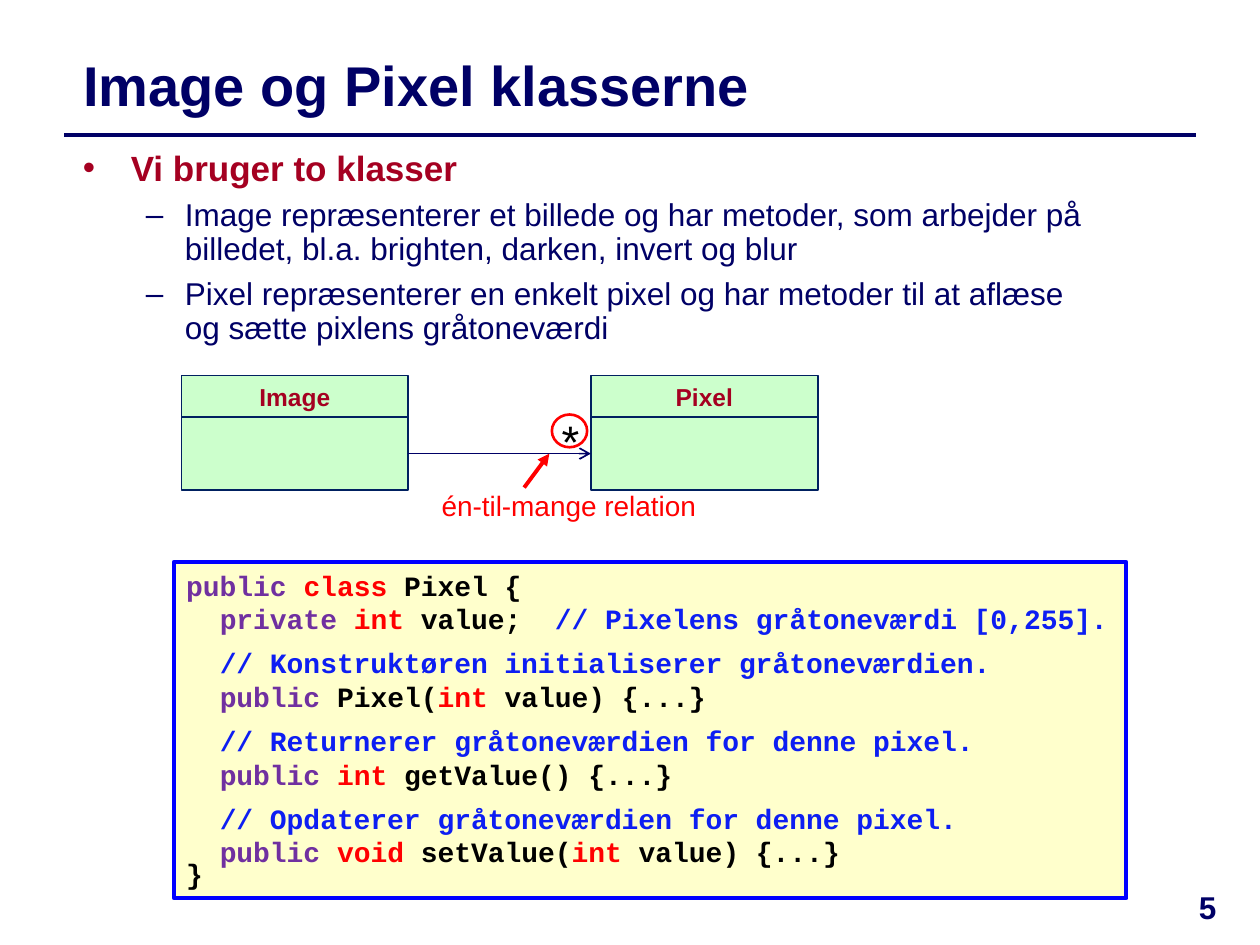
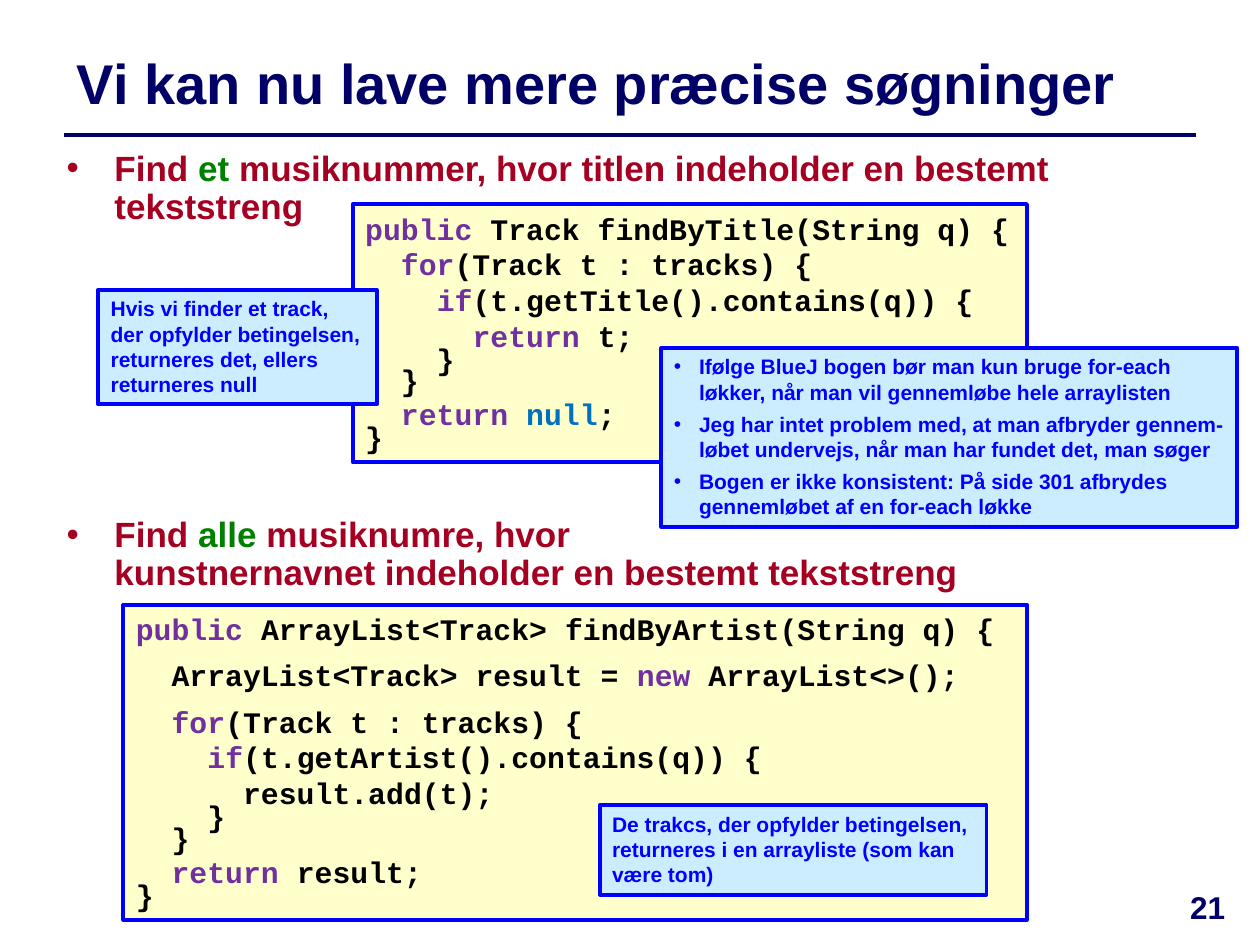
"""Build two lecture slides on Java classes and searching."""
from itertools import groupby

from lxml.etree import SubElement
from pptx import Presentation
from pptx.dml.color import RGBColor
from pptx.enum.shapes import MSO_CONNECTOR, MSO_SHAPE
from pptx.enum.text import MSO_ANCHOR, MSO_AUTO_SIZE, PP_ALIGN
from pptx.oxml.ns import qn
from pptx.util import Inches, Pt

WIDTH, HEIGHT = Inches(10), Inches(7.5)
COL, ROW = WIDTH / 100, HEIGHT / 75

NAVY = RGBColor(0x00, 0x00, 0x66)
WINE = RGBColor(0xA5, 0x00, 0x21)
GREEN = RGBColor(0x00, 0x80, 0x00)
RED = RGBColor(0xFF, 0x00, 0x00)
BLUE = RGBColor(0x00, 0x00, 0xFF)
BLACK = RGBColor(0x00, 0x00, 0x00)
PURPLE = RGBColor(0x70, 0x30, 0xA0)
AZURE = RGBColor(0x00, 0x70, 0xC0)
REMARK = RGBColor(0x0D, 0x1E, 0xF2)
BORDER = RGBColor(0x00, 0x20, 0x60)
MINT = RGBColor(0xCC, 0xFF, 0xCC)
CREAM = RGBColor(0xFF, 0xFF, 0xCC)
SKY = RGBColor(0xCC, 0xEC, 0xFF)

WORDS = {
    **dict.fromkeys(["public", "private", "for", "if", "return", "new"], PURPLE),
    **dict.fromkeys(["class", "int", "void"], RED),
    "null": AZURE,
}

PIXEL = """public class Pixel {
  private int value;  // Pixelens gråtoneværdi [0,255].

  // Konstruktøren initialiserer gråtoneværdien.
  public Pixel(int value) {...}

  // Returnerer gråtoneværdien for denne pixel.
  public int getValue() {...}

  // Opdaterer gråtoneværdien for denne pixel.
  public void setValue(int value) {...}
}"""

TITLE = """public Track findByTitle(String q) {
  for(Track t : tracks) {
    if(t.getTitle().contains(q)) {
      return t;
    }
  }
  return null;
}"""

ARTIST = """public ArrayList<Track> findByArtist(String q) {

  ArrayList<Track> result = new ArrayList<>();

  for(Track t : tracks) {
    if(t.getArtist().contains(q)) {
      result.add(t);
    }
  }
  return result;
}"""


def place(x, y, w, h):
    """Turn columns and rows into slide lengths."""
    return round(x * COL), round(y * ROW), round(w * COL), round(h * ROW)


def style(par, size, hue, bold=False, face="Arial"):
    """Set the font of a whole paragraph."""
    par.font.name = face
    par.font.size = Pt(size)
    par.font.bold = bold
    par.font.color.rgb = hue


def bullet(par, mark, left, hang):
    """Give a paragraph a bullet and a hanging indent."""
    props = par._p.get_or_add_pPr()
    props.set("marL", str(Inches(left)))
    props.set("indent", str(-Inches(hang)))
    SubElement(props, qn("a:buFont"), typeface="Arial")
    SubElement(props, qn("a:buChar"), char=mark)


def paint(par, parts):
    """Add runs given as pairs of text and colour."""
    for text, hue in parts:
        run = par.add_run()
        run.text = text
        run.font.color.rgb = hue


def pars(frame, count):
    """Return the wanted number of paragraphs of a frame."""
    return [frame.paragraphs[0]] + [frame.add_paragraph() for _ in range(count - 1)]


def text(slide, area):
    """Add a wrapping text box and return its frame."""
    frame = slide.shapes.add_textbox(*place(*area)).text_frame
    frame.word_wrap = True
    return frame


def label(slide, area, words, size, hue, bold=False):
    """Add one centred line of text."""
    par = text(slide, area).paragraphs[0]
    par.text = words
    par.alignment = PP_ALIGN.CENTER
    style(par, size, hue, bold)


def shape(slide, area, fill, edge, width, kind=MSO_SHAPE.RECTANGLE):
    """Add a flat shape and return its text frame."""
    item = slide.shapes.add_shape(kind, *place(*area))
    item.shadow.inherit = False
    if fill is None:
        item.fill.background()
    else:
        item.fill.solid()
        item.fill.fore_color.rgb = fill
    item.line.color.rgb = edge
    item.line.width = Pt(width)
    frame = item.text_frame
    frame.word_wrap = True
    frame.vertical_anchor = MSO_ANCHOR.TOP
    return frame


def line(slide, start, end, hue, width, head=None):
    """Add a straight line, with an arrowhead if one is named."""
    ends = place(*start, *end)
    item = slide.shapes.add_connector(MSO_CONNECTOR.STRAIGHT, *ends)
    item.line.color.rgb = hue
    item.line.width = Pt(width)
    props = item._element.spPr
    if head:
        SubElement(props.find(qn("a:ln")), qn("a:tailEnd"), type=head)
    SubElement(props, qn("a:effectLst"))


def start(deck, title, area, number):
    """Add a slide with its title, rule and number."""
    slide = deck.slides.add_slide(deck.slide_layouts[5])
    head = slide.shapes.title
    head.left, head.top, head.width, head.height = place(*area)
    frame = head.text_frame
    frame.text = title
    frame.auto_size = MSO_AUTO_SIZE.NONE
    frame.vertical_anchor = MSO_ANCHOR.MIDDLE
    par = frame.paragraphs[0]
    par.alignment = PP_ALIGN.LEFT
    style(par, 32, NAVY, True)
    line(slide, (5.1, 10.7), (94.9, 10.7), NAVY, 2)
    label(slide, (91.7, 70, 8.3, 5), str(number), 18, NAVY, True)
    return slide


def point(slide, area, parts):
    """Add a main bullet and return its frame."""
    frame = text(slide, area)
    par = frame.paragraphs[0]
    bullet(par, "•", 0.38, 0.38)
    par.line_spacing = 0.9
    style(par, 20, WINE, True)
    paint(par, parts)
    return frame


def detail(frame, words):
    """Add a second-level bullet."""
    par = frame.add_paragraph()
    par.text = words
    par.level = 1
    bullet(par, "–", 0.81, 0.31)
    par.line_spacing = 0.9
    par.space_before = Pt(6)
    style(par, 18, NAVY)


def tint(row):
    """Split a line of code into coloured parts."""
    code, mark, rest = row.partition("//")
    tokens = ("".join(group) for _, group in groupby(code, str.isalnum))
    pairs = [(token, WORDS.get(token, BLACK)) for token in tokens]
    return pairs + [(mark + rest, REMARK)] if mark else pairs


def code(slide, area, source, size):
    """Add a code box; blank lines in the source become small gaps."""
    frame = shape(slide, area, CREAM, BLUE, 2.25)
    rows = [(row, block and not place)
            for block, part in enumerate(source.split("\n\n"))
            for place, row in enumerate(part.split("\n"))]
    for par, (row, gap) in zip(pars(frame, len(rows)), rows):
        par.alignment = PP_ALIGN.LEFT
        if gap:
            par.space_before = Pt(6)
        if row.strip() == "}":
            par.line_spacing = 0.6
        style(par, size, BLACK, True, "Courier New")
        paint(par, tint(row))


def note(slide, area, *items):
    """Add a comment box, with bullets if it has several items."""
    frame = shape(slide, area, SKY, BLUE, 2.25)
    for rank, par in enumerate(pars(frame, len(items))):
        par.text = items[rank]
        par.alignment = PP_ALIGN.LEFT
        if rank:
            par.space_before = Pt(4)
        if len(items) > 1:
            bullet(par, "•", 0.2, 0.2)
        style(par, 12, BLUE, True)


def entity(slide, x, y, name):
    """Add a class box with a name and an empty body."""
    frame = shape(slide, (x, y, 18, 3.3), MINT, BORDER, 1)
    frame.vertical_anchor = MSO_ANCHOR.MIDDLE
    par = frame.paragraphs[0]
    par.text = name
    par.alignment = PP_ALIGN.CENTER
    style(par, 14, WINE, True)
    shape(slide, (x, y + 3.3, 18, 5.8), MINT, BORDER, 1)


def classes(deck):
    """Build the slide on the two classes."""
    slide = start(deck, "Image og Pixel klasserne", (5.6, 2.9, 89.8, 7.5), 5)
    frame = point(slide, (5.6, 11.5, 82.6, 18.1), [("Vi bruger to klasser", WINE)])
    detail(frame, "Image repræsenterer et billede og har metoder, som arbejder på "
                  "billedet, bl.a. brighten, darken, invert og blur")
    detail(frame, "Pixel repræsenterer en enkelt pixel og har metoder til at aflæse "
                  "og sætte pixlens gråtoneværdi")
    for x, name in ((14.4, "Image"), (46.9, "Pixel")):
        entity(slide, x, 29.8, name)
    line(slide, (32.4, 36), (46.9, 36), NAVY, 1, "arrow")
    label(slide, (43.6, 32.3, 2.7, 5.4), "*", 26, BLACK)
    code(slide, (13.8, 44.6, 75.6, 26.7), PIXEL, 16)
    shape(slide, (43.8, 32.9, 2.8, 2.6), None, RED, 1.5, MSO_SHAPE.OVAL)
    label(slide, (31.8, 38.3, 26.7, 3.7), "én-til-mange relation", 16, RED)
    line(slide, (41.6, 38.7), (43.6, 36), RED, 2.25, "triangle")


def search(deck):
    """Build the slide on the two searches."""
    slide = start(deck, "Vi kan nu lave mere præcise søgninger",
                  (5.1, 2.8, 93.1, 7.5), 21)
    point(slide, (4.3, 11.5, 94.9, 8.7), [
        ("Find ", WINE), ("et", GREEN),
        (" musiknummer, hvor titlen indeholder en bestemt tekststreng", WINE)])
    code(slide, (9.8, 48, 71.7, 25), ARTIST, 17)
    frame = point(slide, (4.3, 40.6, 81.1, 6.3), [
        ("Find ", WINE), ("alle", GREEN), (" musiknumre, hvor", WINE)])
    par = frame.paragraphs[0]
    par.add_line_break()
    paint(par, [("kunstnernavnet indeholder en bestemt tekststreng", WINE)])
    code(slide, (28, 16.2, 53.5, 20.5), TITLE, 17)
    note(slide, (52.5, 27.6, 45.7, 14.2),
         "Ifølge BlueJ bogen bør man kun bruge for-each løkker, "
         "når man vil gennemløbe hele arraylisten",
         "Jeg har intet problem med, at man afbryder gennem-løbet "
         "undervejs, når man har fundet det, man søger",
         "Bogen er ikke konsistent: På side 301 afbrydes "
         "gennemløbet af en for-each løkke")
    note(slide, (47.6, 63.9, 30.7, 7.1),
         "De trakcs, der opfylder betingelsen, returneres i en "
         "arrayliste (som kan være tom)")
    note(slide, (7.8, 23, 22.1, 9.1),
         "Hvis vi finder et track, der opfylder betingelsen, "
         "returneres det, ellers returneres null")


def main():
    """Build and save the deck."""
    deck = Presentation()
    deck.slide_width, deck.slide_height = WIDTH, HEIGHT
    classes(deck)
    search(deck)
    deck.save("out.pptx")


if __name__ == "__main__":
    main()
